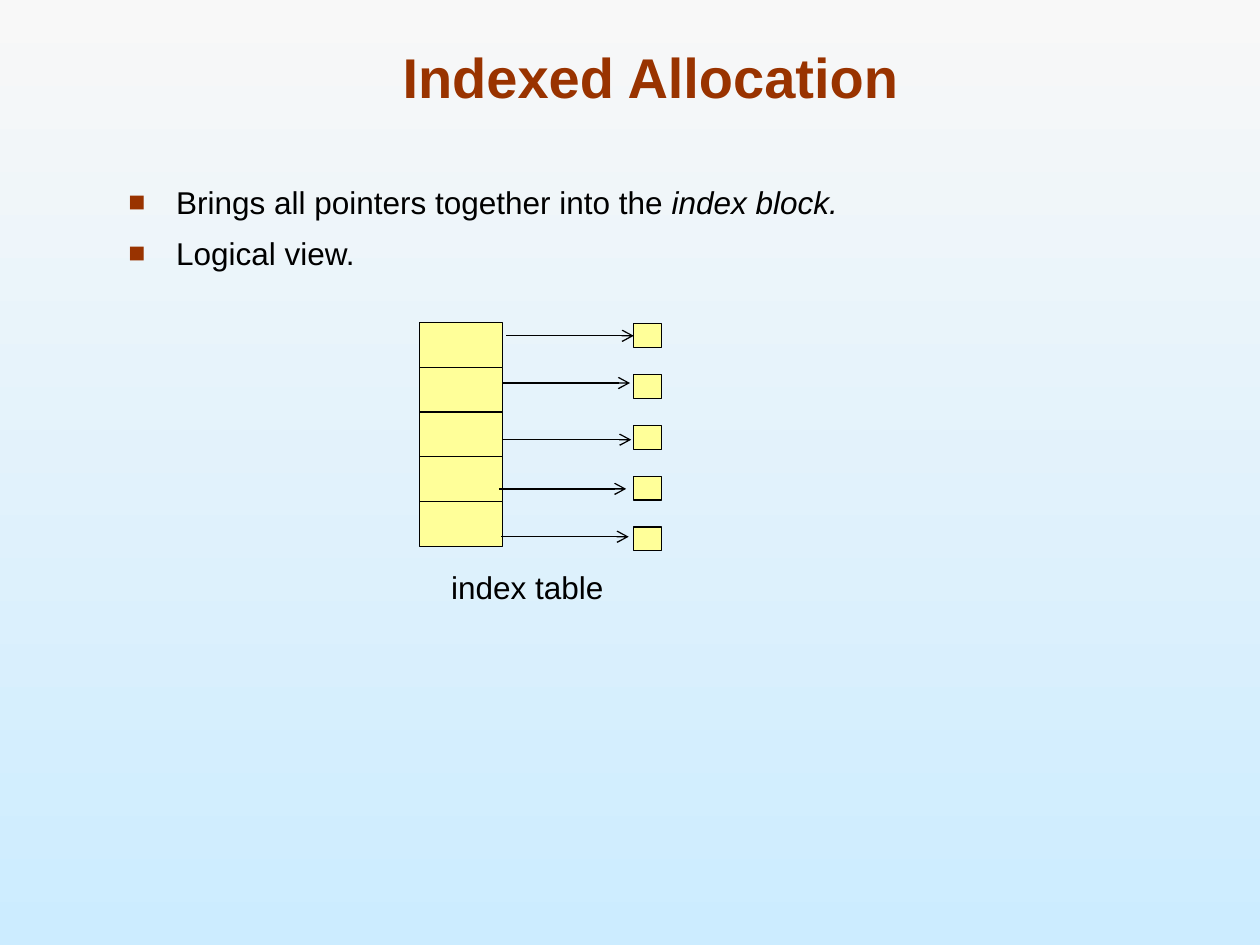
from lxml.etree import SubElement
from pptx import Presentation
from pptx.dml.color import RGBColor as RGB
from pptx.enum.shapes import MSO_CONNECTOR as CONN, MSO_SHAPE as SHAPE
from pptx.enum.text import MSO_ANCHOR as ANCHOR, PP_ALIGN as ALIGN
from pptx.oxml.ns import qn
from pptx.util import Inches, Pt

COLORS = {"top": "F8F8F8", "bottom": "CCECFF", "accent": "993300",
          "cell": "FFFF99", "ink": "000000"}
C = {name: RGB.from_string(value) for name, value in COLORS.items()}

prs = Presentation()
prs.slide_width, prs.slide_height = Inches(10), Inches(7.5)
s = prs.slides.add_slide(prs.slide_layouts[6])
fill = s.background.fill
fill.gradient()
fill.gradient_angle = 270
for stop, name, pos in zip(fill.gradient_stops, ("top", "bottom"), (0, 1)):
    stop.color.rgb = C[name]
    stop.position = pos


def add_text(box, paragraphs, color, wrap, anchor, align, before, **font):
    tf = s.shapes.add_textbox(*map(Inches, box)).text_frame
    tf.word_wrap, tf.vertical_anchor = wrap, anchor
    for i, runs in enumerate(paragraphs):
        p = tf.paragraphs[0] if i == 0 else tf.add_paragraph()
        p.alignment, p.space_before = align, Pt(before)
        for text, italic in runs:
            r = p.add_run()
            r.text = text
            r.font.color.rgb = C[color]
            for key, value in {"name": "Arial", "italic": italic, **font}.items():
                setattr(r.font, key, value)
    return tf


def add_cell(x, y, w, h):
    sp = s.shapes.add_shape(SHAPE.RECTANGLE, *map(Inches, (x, y, w, h)))
    sp.shadow.inherit = False
    sp.fill.solid()
    sp.fill.fore_color.rgb = C["cell"]
    sp.line.color.rgb = C["ink"]
    sp.line.width = Pt(0.75)
    return sp


add_text((0.75, 0.25, 8.83, 0.67), [[("Indexed Allocation", False)]],
         "accent", True, ANCHOR.BOTTOM, ALIGN.CENTER, 0, size=Pt(32), bold=True)

bullets = [
    [("Brings all pointers together into the ", False), ("index block.", True)],
    [("Logical view.", False)],
]
body = add_text((0.92, 1.4, 8.04, 1.02), bullets,
                "ink", True, ANCHOR.TOP, ALIGN.LEFT, 7.9, size=Pt(18))
for p in body.paragraphs:
    pPr = p._p.get_or_add_pPr()
    pPr.set("marL", str(Inches(0.38)))
    pPr.set("indent", str(-Inches(0.38)))
    SubElement(SubElement(pPr, qn("a:buClr")), qn("a:srgbClr"), val=COLORS["accent"])
    SubElement(pPr, qn("a:buSzPct"), val="90000")
    SubElement(pPr, qn("a:buFont"), typeface="Arial")
    SubElement(pPr, qn("a:buChar"), char="■")

arrows = [(4.02, 5.03, 2.67), (3.99, 5, 3.04), (3.99, 5.01, 3.49),
          (3.96, 4.97, 3.88), (3.98, 4.99, 4.26)]
for i in range(len(arrows)):
    add_cell(3.33, 2.56 + i * 0.355, 0.66, 0.36)
blocks = [add_cell(5.03, 2.57 + i * 0.403, 0.22, 0.19) for i in range(len(arrows))]

for i, (x1, x2, y) in enumerate(arrows):
    line = s.shapes.add_connector(CONN.STRAIGHT, *map(Inches, (x1, y, x2, y)))
    if i == 0:
        line.end_connect(blocks[0], 1)
        line.begin_y = line.end_y
    line.line.color.rgb = C["ink"]
    line.line.width = Pt(0.75)
    SubElement(line.line._get_or_add_ln(), qn("a:tailEnd"), type="arrow")
    SubElement(line._element.spPr, qn("a:effectLst"))

add_text((3.48, 4.46, 1.41, 0.4), [[("index table", False)]],
         "ink", False, ANCHOR.MIDDLE, ALIGN.CENTER, 11.2, size=Pt(18))

prs.save("out.pptx")
